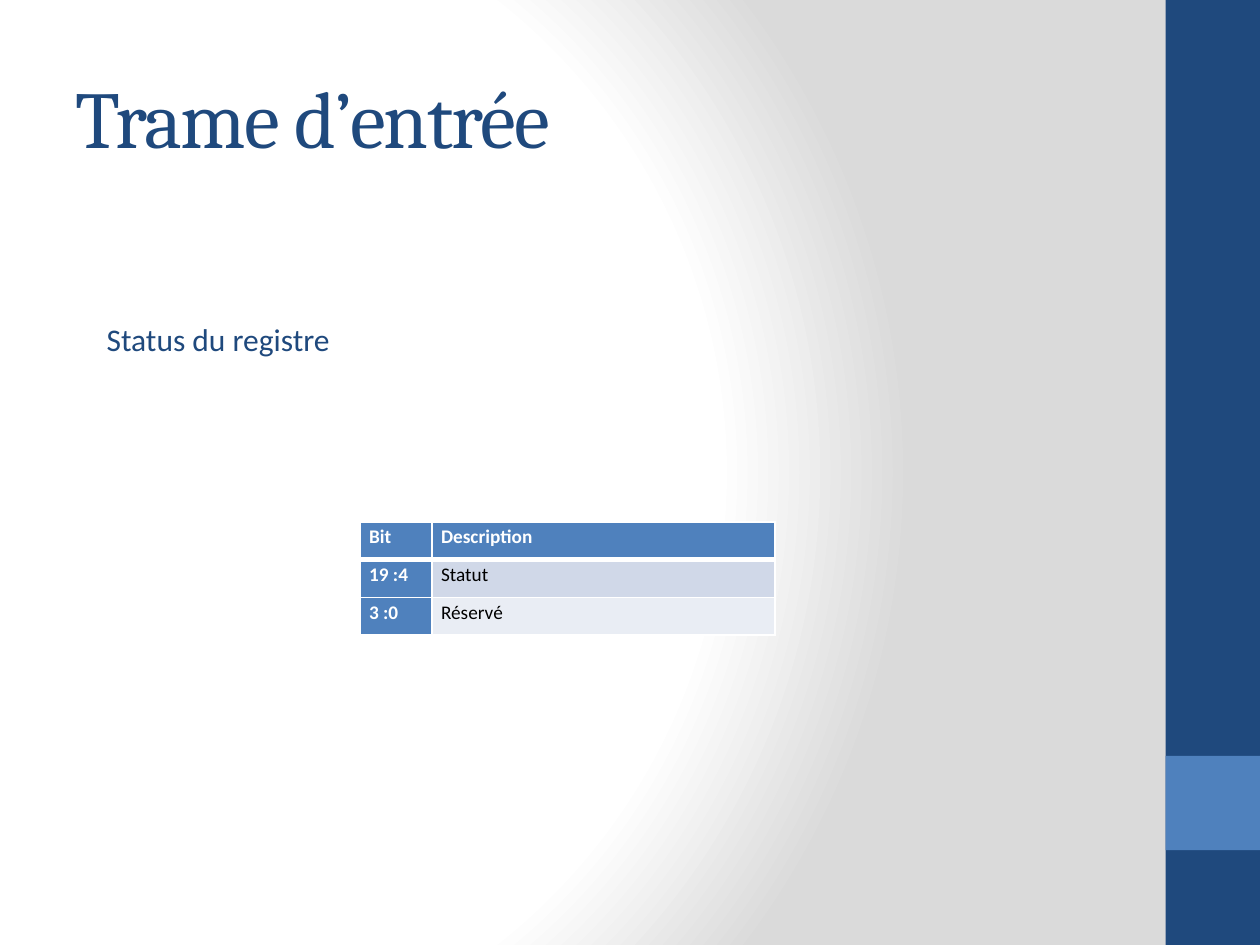
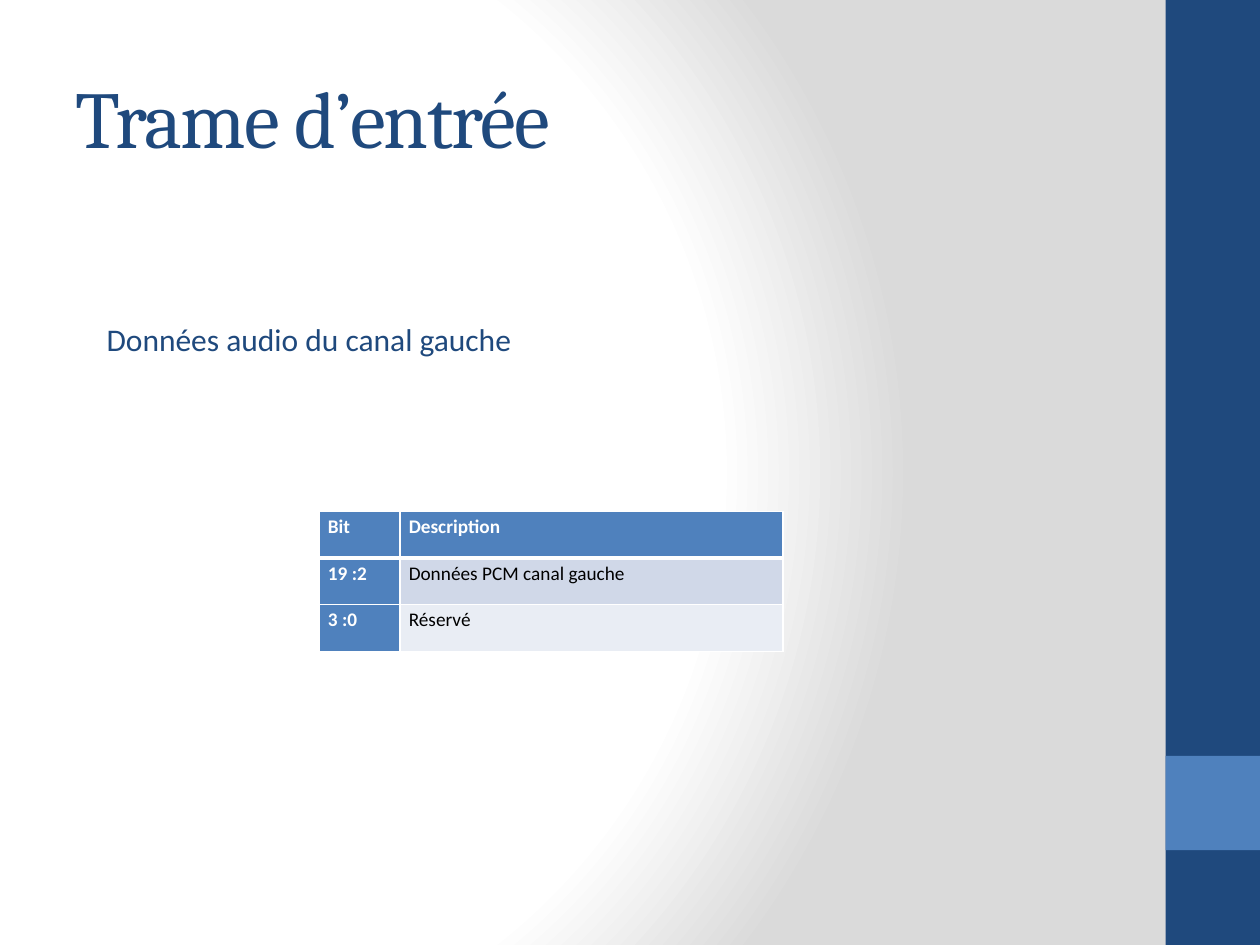
import pptx
import pptx.dml.color
import pptx.enum.shapes
import pptx.enum.text
import pptx.oxml
import pptx.oxml.ns
import pptx.util

Cm, Pt = pptx.util.Cm, pptx.util.Pt
RGBColor = pptx.dml.color.RGBColor
PP_ALIGN = pptx.enum.text.PP_ALIGN

NAVY = RGBColor(0x1F, 0x49, 0x7D)
BLUE = RGBColor(0x4F, 0x81, 0xBD)
WHITE = RGBColor(0xFF, 0xFF, 0xFF)
BLACK = RGBColor(0x00, 0x00, 0x00)
GREY = RGBColor(0xDA, 0xDA, 0xDA)
ROW_FILLS = [RGBColor(0xD0, 0xD8, 0xE8), RGBColor(0xE9, 0xED, 0xF4)]

TITLE_FONT, BODY_FONT = "Cambria", "Calibri"
SLIDE_W, SLIDE_H = Cm(25.4), Cm(19.05)
BAND_W = Cm(1.9)
NSDECLS = pptx.oxml.ns.nsdecls("a")


def write(tf, text, size, color, font=BODY_FONT, bold=False, spacing=None,
          line_spacing=None):
    """Fill a text frame; spacing is between letters, in hundredths of a point."""
    p = tf.paragraphs[0]
    p.alignment = PP_ALIGN.LEFT
    if line_spacing:
        p.line_spacing = line_spacing
    r = p.add_run()
    r.text = text
    r.font.name, r.font.size, r.font.bold = font, Pt(size), bold
    r.font.color.rgb = color
    if spacing is not None:
        r.font._element.set("spc", str(spacing))


def set_background(master):
    stops = "".join(
        f'<a:gs pos="{pos * 1000}"><a:srgbClr val="{color}"/></a:gs>'
        for pos, color in [(0, WHITE), (75, WHITE), (100, GREY)])
    gradient = pptx.oxml.parse_xml(
        f'<a:gradFill {NSDECLS} rotWithShape="1"><a:gsLst>{stops}</a:gsLst>'
        '<a:path path="circle"><a:fillToRect l="20000" t="50000" r="100000"'
        ' b="50000"/></a:path></a:gradFill>')
    fill = master.background.fill
    fill.solid()
    solid = fill._xPr.find(pptx.oxml.ns.qn("a:solidFill"))
    fill._xPr.replace(solid, gradient)


def add_master_band(master, slide, index, top, height, color):
    """Draw a band at the right edge and move it to the back of the master."""
    sp = slide.shapes.add_shape(pptx.enum.shapes.MSO_SHAPE.RECTANGLE,
                                SLIDE_W - BAND_W, top, BAND_W, height)
    sp.name = f"Side band {index + 1}"
    sp.shadow.inherit = False
    sp.fill.solid()
    sp.fill.fore_color.rgb = color
    sp.line.fill.background()
    sp.element.nvSpPr.cNvPr.set("id", str(101 + index))
    master.shapes.element.insert(2 + index, sp.element)


def add_title(slide, text):
    title = slide.shapes.title
    title.left, title.top = Cm(1.27), Cm(0.76)
    title.width, title.height = Cm(21.16), Cm(3.18)
    title.text_frame.vertical_anchor = pptx.enum.text.MSO_ANCHOR.MIDDLE
    write(title.text_frame, text, 46, NAVY, font=TITLE_FONT, spacing=-100)


def add_heading(slide, text, width):
    box = slide.shapes.add_textbox(Cm(1.9), Cm(6.32), width, Cm(1.02))
    box.text_frame.word_wrap = False
    box.text_frame.auto_size = pptx.enum.text.MSO_AUTO_SIZE.SHAPE_TO_FIT_TEXT
    write(box.text_frame, text, 18, NAVY)


def set_borders(cell, **widths):
    """Draw white borders, with widths in points keyed by side: L, R, T, B."""
    tcPr = cell._tc.get_or_add_tcPr()
    for side, width in widths.items():
        tcPr.append(pptx.oxml.parse_xml(
            f'<a:ln{side} {NSDECLS} w="{Pt(width)}"><a:solidFill>'
            f'<a:srgbClr val="{WHITE}"/></a:solidFill></a:ln{side}>'))


def add_bit_table(slide, rows, left, top, col_widths, row_height):
    rows = [("Bit", "Description"), *rows]
    table = slide.shapes.add_table(
        len(rows), len(col_widths), left, top,
        sum(col_widths), row_height * len(rows)).table
    for column, width in zip(table.columns, col_widths):
        column.width = width
    for i, row in enumerate(rows):
        table.rows[i].height = row_height
        for j, text in enumerate(row):
            cell = table.cell(i, j)
            header = i == 0 or j == 0
            cell.margin_left = cell.margin_right = Cm(0.18)
            cell.margin_top = cell.margin_bottom = 0
            set_borders(cell, L=1, R=1, T=3 if i == 1 else 1,
                        B=3 if i == 0 else 1)
            cell.fill.solid()
            cell.fill.fore_color.rgb = BLUE if header else ROW_FILLS[(i - 1) % 2]
            write(cell.text_frame, text, 11, WHITE if header else BLACK,
                  bold=header, line_spacing=1.15)


def add_frame_slide(prs, heading, heading_width):
    slide = prs.slides.add_slide(prs.slide_layouts[5])
    add_title(slide, "Trame d’entrée")
    add_heading(slide, heading, heading_width)
    return slide


def main():
    prs = pptx.Presentation()
    prs.slide_width, prs.slide_height = SLIDE_W, SLIDE_H
    master = prs.slide_master
    set_background(master)

    status = add_frame_slide(prs, "Status du registre", Cm(5.36))
    add_master_band(master, status, 0, 0, SLIDE_H, NAVY)
    add_master_band(master, status, 1, Cm(15.24), BAND_W, BLUE)
    add_bit_table(status, [("19 :4", "Statut"), ("3 :0", "Réservé")],
                  Cm(7.26), Cm(10.52), [Cm(1.45), Cm(6.91)], Cm(0.76))

    audio = add_frame_slide(prs, "Données audio du canal gauche ", Cm(9.07))
    add_bit_table(audio, [("19 :2", "Données PCM canal gauche"),
                          ("3 :0", "Réservé")],
                  Cm(6.43), Cm(10.31), [Cm(1.63), Cm(7.72)], Cm(0.94))

    prs.save("out.pptx")


if __name__ == "__main__":
    main()
